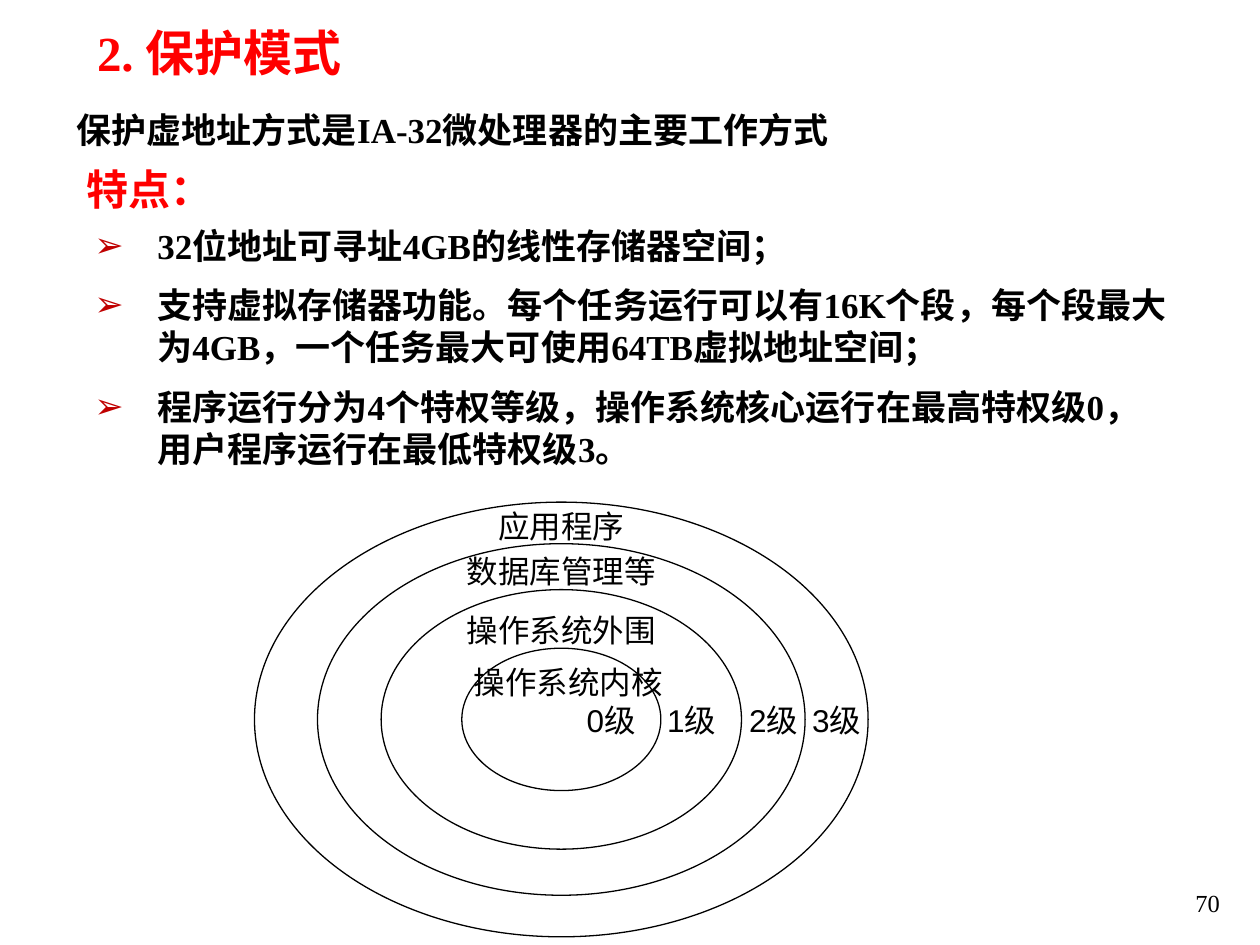
from typing import NamedTuple

from lxml.etree import SubElement
from pptx import Presentation
from pptx.dml.color import RGBColor
from pptx.enum.shapes import MSO_SHAPE
from pptx.enum.text import MSO_ANCHOR as Anchor, MSO_AUTO_SIZE as AutoSize, PP_ALIGN as Align
from pptx.oxml.ns import qn
from pptx.util import Inches, Pt

RED = RGBColor(0xFF, 0x00, 0x00)
BLACK = RGBColor(0x00, 0x00, 0x00)
BULLET_RED = "C00000"
SERIF = "Times New Roman"

CENTER_X, CENTER_Y = 4.455, 5.71
CHARACTER_W = 0.27
LEVEL_W, LABEL_H = 0.5, 0.31


class Ring(NamedTuple):
    name: str
    level: str
    width: float
    height: float
    name_x: float
    name_y: float
    level_x: float


# Outermost ring first
RINGS = [
    Ring("应用程序", "3级", 4.87, 3.45, CENTER_X, 4.17, 6.64),
    Ring("数据库管理等", "2级", 3.87, 2.79, CENTER_X, 4.53, 6.14),
    Ring("操作系统外围", "1级", 2.86, 2.06, CENTER_X, 5.0, 5.49),
    Ring("操作系统内核", "0级", 1.58, 1.13, 4.51, 5.41, 4.85),
]

FEATURES = [
    "32位地址可寻址4GB的线性存储器空间；",
    "支持虚拟存储器功能。每个任务运行可以有16K个段，每个段最大为4GB，一个任务最大可使用64TB虚拟地址空间；",
    "程序运行分为4个特权等级，操作系统核心运行在最高特权级0，用户程序运行在最低特权级3。",
]


def style(paragraph, size: float, color: RGBColor, font: str = SERIF, bold: bool = True) -> None:
    for run in paragraph.runs:
        run.font.name = font
        run.font.size = Pt(size)
        run.font.bold = bold
        run.font.color.rgb = color


def add_text(shapes, left: float, top: float, width: float, height: float, text: str, wrap: bool = True):
    frame = shapes.add_textbox(Inches(left), Inches(top), Inches(width), Inches(height)).text_frame
    frame.word_wrap = wrap
    frame.text = text
    return frame


def add_bullet(paragraph) -> None:
    properties = paragraph._p.get_or_add_pPr()
    properties.set("marL", str(Inches(0.5)))
    properties.set("indent", str(-Inches(0.5)))
    color = SubElement(properties, qn("a:buClr"))
    SubElement(color, qn("a:srgbClr"), val=BULLET_RED)
    SubElement(properties, qn("a:buFont"), typeface="Arial")
    SubElement(properties, qn("a:buChar"), char="➢")


def add_ellipse(shapes, ring: Ring) -> None:
    ellipse = shapes.add_shape(
        MSO_SHAPE.OVAL,
        Inches(CENTER_X - ring.width / 2), Inches(CENTER_Y - ring.height / 2),
        Inches(ring.width), Inches(ring.height))
    ellipse.shadow.inherit = False
    ellipse.fill.background()
    ellipse.line.color.rgb = BLACK
    ellipse.line.width = Pt(0.75)


def add_label(shapes, text: str, center_x: float, center_y: float, width: float) -> None:
    frame = add_text(shapes, center_x - width / 2, center_y - LABEL_H / 2,
                     width, LABEL_H, text, wrap=False)
    frame.margin_left = frame.margin_right = frame.margin_top = frame.margin_bottom = 0
    frame.vertical_anchor = Anchor.MIDDLE
    frame.paragraphs[0].alignment = Align.CENTER
    style(frame.paragraphs[0], 18, BLACK, "Arial", bold=False)


def main() -> None:
    deck = Presentation()
    deck.slide_width, deck.slide_height = Inches(10), Inches(7.5)
    slide = deck.slides.add_slide(deck.slide_layouts[5])
    shapes = slide.shapes

    # Title
    title = shapes.title
    title.left, title.top = Inches(0.67), Inches(0.13)
    title.width, title.height = Inches(2.7), Inches(0.57)
    heading = title.text_frame
    heading.text = "2. 保护模式"
    heading.auto_size = AutoSize.NONE
    heading.vertical_anchor = Anchor.MIDDLE
    heading.paragraphs[0].alignment = Align.LEFT
    style(heading.paragraphs[0], 28, RED)

    # Introduction and features heading
    intro = add_text(shapes, 0.51, 0.81, 7.74, 0.44, "保护虚地址方式是IA-32微处理器的主要工作方式")
    style(intro.paragraphs[0], 20, BLACK)
    features_heading = add_text(shapes, 0.59, 1.25, 1.22, 0.5, "特点：", wrap=False)
    style(features_heading.paragraphs[0], 24, RED, "Roboto")

    # Feature list
    features = add_text(shapes, 0.65, 1.73, 8.75, 2.12, "\n".join(FEATURES))
    for index, paragraph in enumerate(features.paragraphs):
        add_bullet(paragraph)
        if index:
            paragraph.space_before = Pt(10)
        style(paragraph, 20, BLACK)

    # Privilege rings, then their labels
    diagram = shapes.add_group_shape().shapes
    for ring in RINGS:
        add_ellipse(diagram, ring)
    for ring in RINGS:
        add_label(diagram, ring.name, ring.name_x, ring.name_y, CHARACTER_W * len(ring.name))
        add_label(diagram, ring.level, ring.level_x, CENTER_Y, LEVEL_W)

    # Page number
    page = add_text(shapes, 7.7, 6.83, 2.08, 0.5, "70")
    page.vertical_anchor = Anchor.BOTTOM
    page.paragraphs[0].alignment = Align.RIGHT
    style(page.paragraphs[0], 14, BLACK, bold=False)

    deck.save("out.pptx")


if __name__ == "__main__":
    main()
